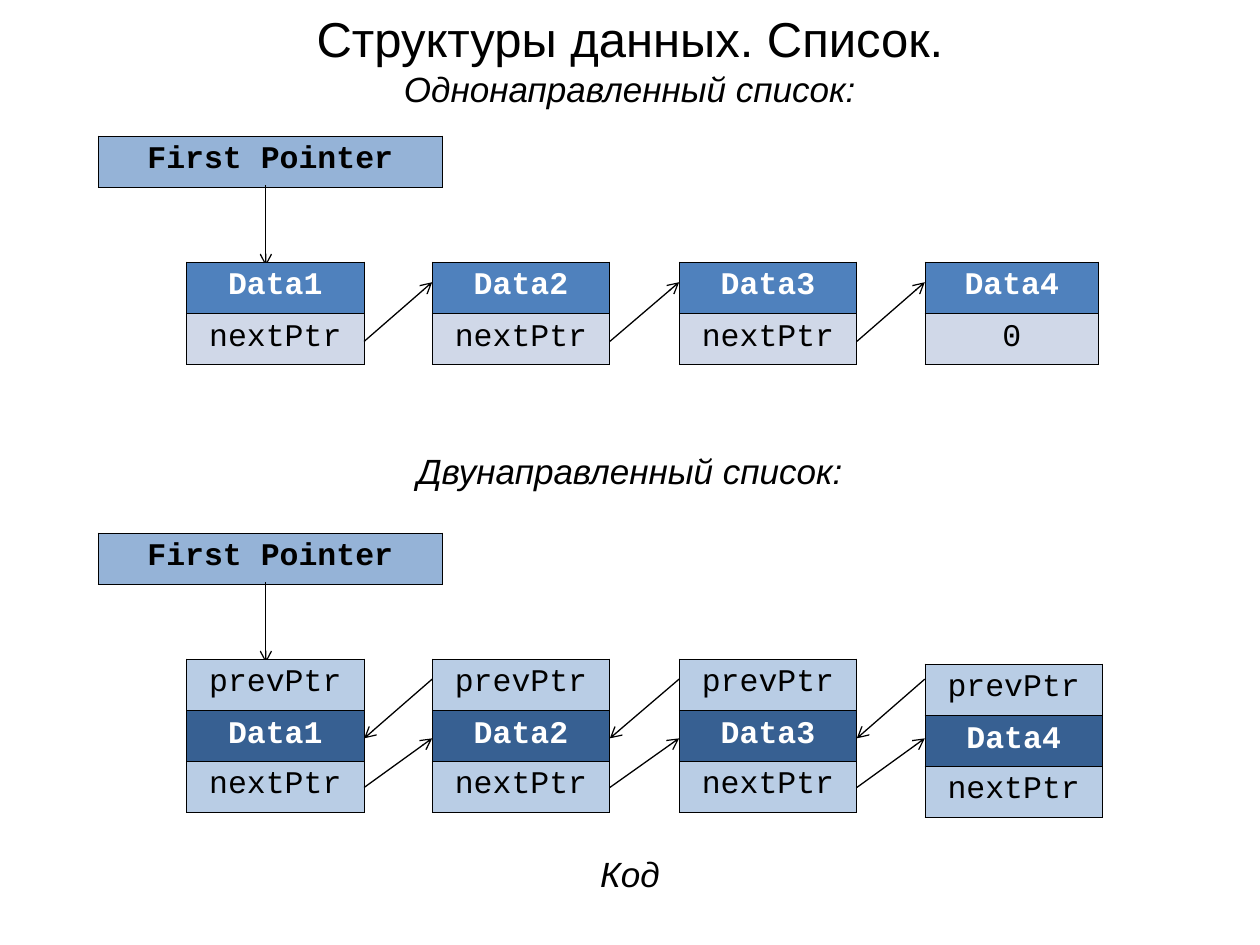
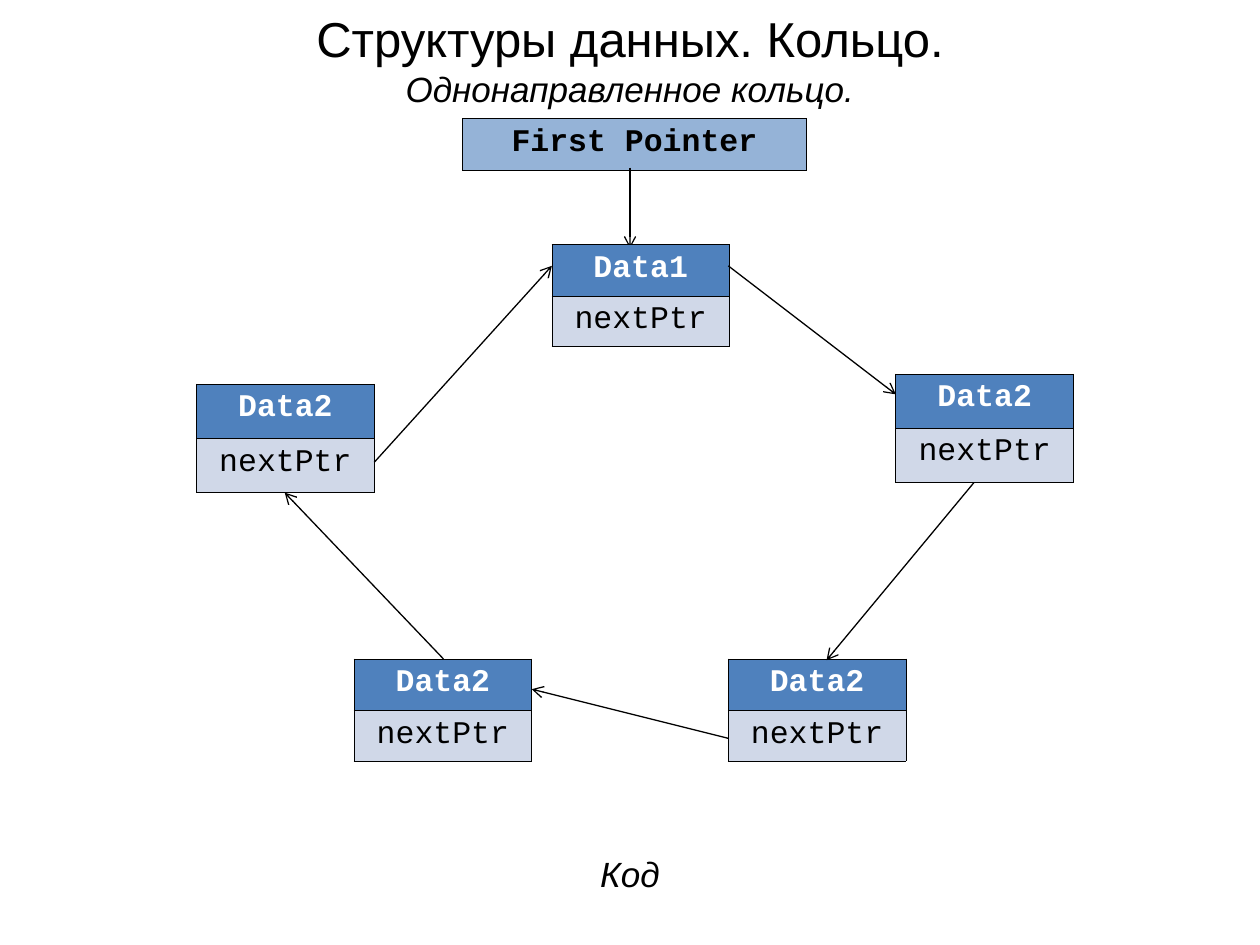
from dataclasses import dataclass

from lxml import etree
from pptx import Presentation
from pptx.dml.color import RGBColor
from pptx.enum.shapes import MSO_CONNECTOR
from pptx.enum.text import MSO_ANCHOR, PP_ALIGN
from pptx.oxml.ns import qn
from pptx.util import Inches, Pt

CENTER = PP_ALIGN.CENTER
TOP, MIDDLE = MSO_ANCHOR.TOP, MSO_ANCHOR.MIDDLE
STRAIGHT = MSO_CONNECTOR.STRAIGHT
PX = Inches(1) // 100  # 100 px to the inch


@dataclass(frozen=True)
class Theme:
    black: str = "000000"
    white: str = "FFFFFF"
    pointer: str = "95B3D7"
    data: str = "4F81BD"
    link: str = "D0D8E8"
    double_data: str = "376092"
    double_link: str = "B9CDE5"
    text_font: str = "Arial"
    code_font: str = "Courier New"
    title_size: int = 28
    subtitle_size: int = 20
    code_size: int = 18
    arrow_width: float = 0.75
    border_width: float = 0.45


theme = Theme()

# Cell styles: fill, text colour, bold
POINTER = (theme.pointer, theme.black, True)
DATA = (theme.data, theme.white, True)
LINK = (theme.link, theme.black, False)
DOUBLE_DATA = (theme.double_data, theme.white, True)
DOUBLE_LINK = (theme.double_link, theme.black, False)

TABLE_FLAGS = {"first_row": False, "horz_banding": False}
NODE_W, POINTER_W = 141, 273


def draw_node(slide, left, top, width, heights, rows):
    """Draw a one-column table; each row is (text, cell style)."""
    node = slide.shapes.add_table(
        len(rows), 1, left * PX, top * PX, width * PX, sum(heights) * PX).table
    for flag, value in TABLE_FLAGS.items():
        setattr(node, flag, value)
    for index, (height, (text, (fill, color, bold))) in enumerate(zip(heights, rows)):
        node.rows[index].height = height * PX
        cell = node.cell(index, 0)
        cell.fill.solid()
        cell.fill.fore_color.rgb = RGBColor.from_string(fill)
        cell.text = text
        label = cell.text_frame.paragraphs[0]
        label.alignment = CENTER
        code_format = {"name": theme.code_font, "size": Pt(theme.code_size), "bold": bold}
        for attribute, value in code_format.items():
            setattr(label.runs[0].font, attribute, value)
        label.runs[0].font.color.rgb = RGBColor.from_string(color)
        # Borders come before the fill in the cell properties
        properties = cell._tc.get_or_add_tcPr()
        for position, side in enumerate(("lnL", "lnR", "lnT", "lnB")):
            border = etree.Element(qn(f"a:{side}"), w=str(Pt(theme.border_width)))
            solid = etree.SubElement(border, qn("a:solidFill"))
            etree.SubElement(solid, qn("a:srgbClr"), val=theme.black)
            properties.insert(position, border)


def draw_arrow(slide, *ends):
    """Draw an arrow from (x1, y1) to (x2, y2)."""
    arrow = slide.shapes.add_connector(STRAIGHT, *(end * PX for end in ends))
    arrow.line.width = Pt(theme.arrow_width)
    arrow.line.color.rgb = RGBColor.from_string(theme.black)
    etree.SubElement(arrow.line._get_or_add_ln(), qn("a:tailEnd"), type="arrow")
    etree.SubElement(arrow._element.spPr, qn("a:effectLst"))


presentation = Presentation()
presentation.slide_width, presentation.slide_height = 1000 * PX, 750 * PX
blank = presentation.slide_layouts[6]
list_slide = presentation.slides.add_slide(blank)
ring_slide = presentation.slides.add_slide(blank)

# Titles and captions: slide, top, height, anchor, lines of (text, size, italic)
captions = []
for slide, title, subtitle in (
    (list_slide, "Структуры данных. Список.", "Однонаправленный список:"),
    (ring_slide, "Структуры данных. Кольцо.", "Однонаправленное кольцо."),
):
    captions.append((slide, 0, 94, MIDDLE, [(title, theme.title_size, False),
                                          (subtitle, theme.subtitle_size, True)]))
    captions.append((slide, 672, 55, TOP, [("Код", theme.subtitle_size, True)]))
captions.append((list_slide, 352, 55, TOP,
                 [("Двунаправленный список:", theme.subtitle_size, True)]))

for slide, top, height, anchor, lines in captions:
    frame = slide.shapes.add_textbox(0, top * PX, 1000 * PX, height * PX).text_frame
    frame.word_wrap = True
    frame.vertical_anchor = anchor
    for index, (text, size, italic) in enumerate(lines):
        line = frame.add_paragraph() if index else frame.paragraphs[0]
        line.alignment = CENTER
        run = line.add_run()
        run.text = text
        text_format = {"name": theme.text_font, "size": Pt(size), "italic": italic}
        for attribute, value in text_format.items():
            setattr(run.font, attribute, value)
        run.font.color.rgb = RGBColor.from_string(theme.black)

# First pointers, each with an arrow down to the first node
for slide, left, top in ((list_slide, 78, 108), (list_slide, 78, 423), (ring_slide, 367, 94)):
    draw_node(slide, left, top, POINTER_W, [41], [("First Pointer", POINTER)])
    draw_arrow(slide, left + 133, top + 39, left + 133, top + 103)

# Singly and doubly linked lists share the same four columns
columns = [round(148 + index * 586 / 3) for index in range(4)]
for number, left in enumerate(columns, start=1):
    last = number == len(columns)
    draw_node(list_slide, left, 208, 138 if last else NODE_W, [41, 40],
              [(f"Data{number}", DATA), ("0" if last else "nextPtr", LINK)])
    draw_node(list_slide, left, 527 if last else 523, NODE_W, [41, 40, 41],
              [("prevPtr", DOUBLE_LINK), (f"Data{number}", DOUBLE_DATA),
               ("nextPtr", DOUBLE_LINK)])

for left, following in zip(columns, columns[1:]):
    right = left + NODE_W
    draw_arrow(list_slide, right, 271, following, 224)
    draw_arrow(list_slide, right, 625, following, 586)
    draw_arrow(list_slide, following, 539, right, 586)

# Ring nodes, clockwise from the top
for data, left, top, heights in (
    ("Data1", 438, 194, [41, 40]),
    ("Data2", 711, 297, [43, 43]),
    ("Data2", 578, 523, [41, 40]),
    ("Data2", 281, 523, [41, 40]),
    ("Data2", 156, 305, [43, 43]),
):
    draw_node(ring_slide, left, top, NODE_W, heights, [(data, DATA), ("nextPtr", LINK)])

# Ring arrows, clockwise from the top
for ends in (
    (578, 211, 711, 313),
    (773, 383, 656, 524),
    (578, 586, 422, 547),
    (352, 523, 226, 391),
    (297, 367, 438, 211),
):
    draw_arrow(ring_slide, *ends)

presentation.save("out.pptx")
